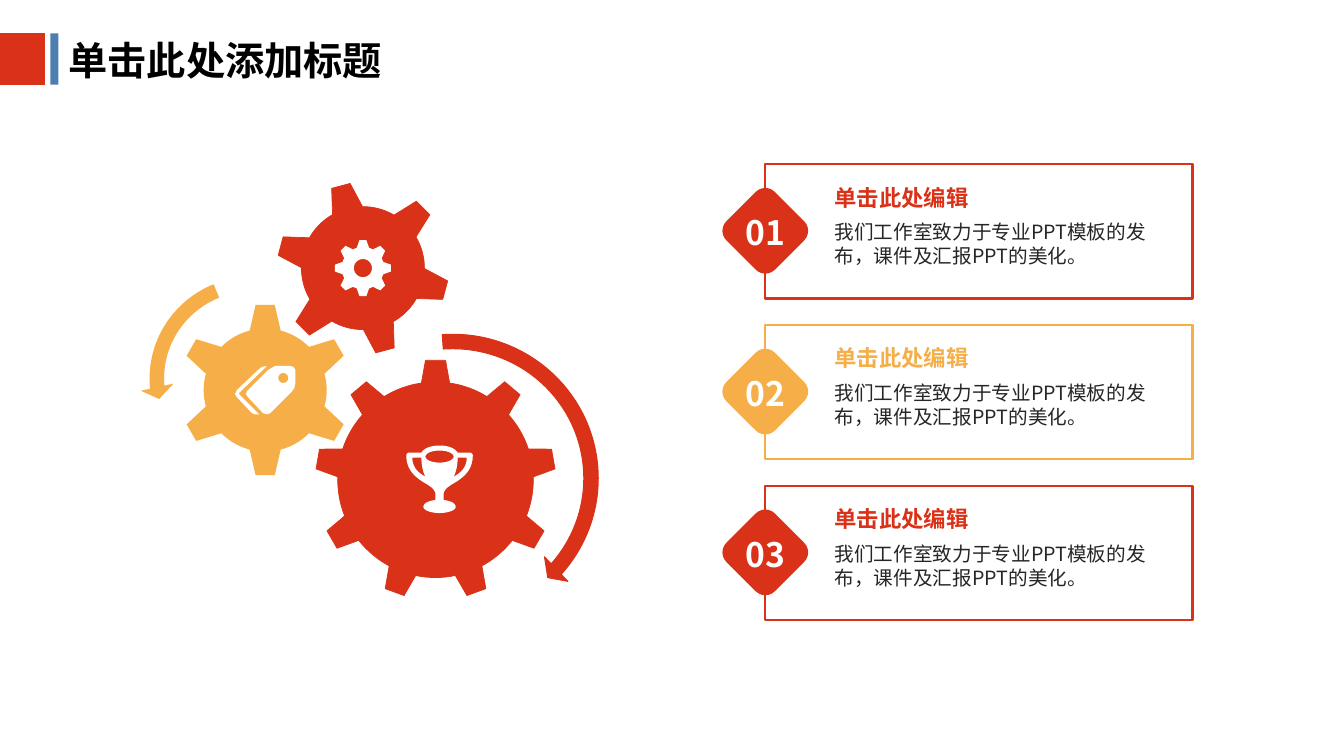
from dataclasses import dataclass
from math import cos, radians, sin

from lxml.etree import SubElement
from pptx import Presentation
from pptx.dml.color import RGBColor
from pptx.enum.shapes import MSO_SHAPE
from pptx.enum.text import MSO_ANCHOR, PP_ALIGN
from pptx.oxml.ns import qn
from pptx.util import Inches, Pt


@dataclass(frozen=True)
class Theme:
    red: str = "DA3218"
    amber: str = "F6AF48"
    blue: str = "4C7FAF"
    white: str = "FFFFFF"
    black: str = "000000"
    ink: str = "262626"
    font: str = "Noto Sans CJK SC"
    title: int = 28
    number: int = 24
    heading: int = 16
    body: int = 14
    leading: float = 1.22


THEME = Theme()
HEADING = "单击此处编辑"
BODY = "我们工作室致力于专业PPT模板的发布，课件及汇报PPT的美化。"


# ---- Styling and text ----
def paint(shape, fill=None, line=None, width=0.75):
    shape.shadow.inherit = False
    if fill:
        shape.fill.solid()
        shape.fill.fore_color.rgb = RGBColor.from_string(fill)
    else:
        shape.fill.background()
    if line:
        shape.line.color.rgb = RGBColor.from_string(line)
        shape.line.width = Pt(width)
    else:
        shape.line.fill.background()


def write(frame, text, size, color, bold=False, align=PP_ALIGN.LEFT):
    paragraph = frame.paragraphs[0]
    paragraph.alignment = align
    paragraph.line_spacing = Pt(round(size * THEME.leading, 1))
    run = paragraph.add_run()
    run.text = text
    run.font.size = Pt(size)
    run.font.bold = bold
    run.font.color.rgb = RGBColor.from_string(color)
    run.font.name = THEME.font
    SubElement(run.font._element, qn("a:ea"), typeface=THEME.font)


def add_label(shapes, box, text, size, color, bold=False,
              align=PP_ALIGN.LEFT, wrap=False):
    label = shapes.add_textbox(*map(Inches, box))
    label.text_frame.word_wrap = wrap
    write(label.text_frame, text, size, color, bold, align)


def add_preset(shapes, kind, box, fill=None, line=None, width=0.75,
               adjustments=()):
    shape = shapes.add_shape(kind, *map(Inches, box))
    for index, value in enumerate(adjustments):
        shape.adjustments[index] = value
    paint(shape, fill, line, width)
    return shape


# ---- Outlines, as lists of points in inches ----
def polar(center, radius, angle):
    return (center[0] + radius * cos(radians(angle)),
            center[1] + radius * sin(radians(angle)))


def ellipse(center, rx, ry):
    return [(center[0] + rx * cos(radians(a)), center[1] + ry * sin(radians(a)))
            for a in range(0, 360, 10)]


def gear(center, teeth, first, tip, tip_half, root, root_half):
    """Teeth at equal angles, joined by arcs of the root circle."""
    step, arc_steps, points = 360 / teeth, 8, []
    for tooth in range(teeth):
        angle = first + tooth * step
        points += [polar(center, tip, angle - tip_half),
                   polar(center, tip, angle + tip_half)]
        valley = step - 2 * root_half
        points += [polar(center, root, angle + root_half + valley * i / arc_steps)
                   for i in range(arc_steps + 1)]
    return points


def trace(start, *segments):
    """Each segment holds one point (line) or three points (cubic curve)."""
    points = [start]
    for segment in segments:
        if len(segment) == 1:
            points += segment
            continue
        controls = (points[-1], *segment)
        for i in range(1, 11):
            t = i / 10
            weights = ((1 - t) ** 3, 3 * t * (1 - t) ** 2, 3 * t * t * (1 - t), t ** 3)
            points.append(tuple(sum(w * c[axis] for w, c in zip(weights, controls))
                                for axis in (0, 1)))
    return points


def add_outline(shapes, contours, fill, line=None):
    scaled = [[(Inches(x), Inches(y)) for x, y in contour] for contour in contours]
    builder = shapes.build_freeform(*scaled[0][0])
    builder.add_line_segments(scaled[0][1:], close=True)
    for hole in scaled[1:]:
        builder.move_to(*hole[0])
        builder.add_line_segments(hole[1:], close=True)
    paint(builder.convert_to_shape(), fill, line, 0.5)


# ---- Icons ----
def add_tag_icon(shapes):
    front = [(2.88, 3.63), (2.73, 3.63), (2.66, 3.67), (2.45, 3.88), (2.44, 3.91),
             (2.46, 3.94), (2.61, 4.1), (2.65, 4.11), (2.68, 4.1), (2.89, 3.89),
             (2.92, 3.85), (2.93, 3.8), (2.93, 3.67), (2.91, 3.64)]
    back = [(2.38, 3.92), (2.57, 4.11), (2.53, 4.11), (2.5, 4.1), (2.35, 3.94),
            (2.33, 3.91), (2.35, 3.87), (2.56, 3.67), (2.6, 3.64), (2.65, 3.63),
            (2.37, 3.9)]
    add_outline(shapes, [front, ellipse((2.81, 3.75), 0.05, 0.05), back], THEME.white)


def add_trophy_icon(shapes):
    axis = 4.36
    half_cup = trace(
        (0, 4.42), [(0.11, 4.42), (0.16, 4.46), (0.18, 4.49)], [(0.3, 4.49)],
        [(0.31, 4.49), (0.33, 4.5), (0.33, 4.52)],
        [(0.33, 4.67), (0.23, 4.74), (0.15, 4.79)],
        [(0.08, 4.83), (0.04, 4.86), (0.04, 4.91)], [(0.04, 4.96)],
        [(0.11, 4.97), (0.16, 4.99), (0.16, 5.03)],
        [(0.16, 5.06), (0.09, 5.09), (0, 5.09)])
    handle = trace((0.14, 4.73), [(0.16, 4.69), (0.18, 4.63), (0.18, 4.54)],
                   [(0.27, 4.54)], [(0.27, 4.64), (0.21, 4.69), (0.14, 4.73)])
    right_cup, right_handle = ([(axis + x, y) for x, y in half]
                               for half in (half_cup, handle))
    left_cup, left_handle = ([(axis - x, y) for x, y in reversed(half)]
                             for half in (half_cup, handle))
    add_outline(shapes, [right_cup + left_cup, right_handle, left_handle,
                         ellipse((axis, 4.53), 0.14, 0.06)], THEME.white)


# ---- Slide parts ----
def add_header(slide):
    title = slide.shapes.title
    title.left, title.top, title.width, title.height = map(
        Inches, (0.58, 0.3, 3.33, 0.57))
    title.text_frame.vertical_anchor = MSO_ANCHOR.MIDDLE
    write(title.text_frame, "单击此处添加标题", THEME.title, THEME.black, bold=True)
    add_preset(slide.shapes, MSO_SHAPE.RECTANGLE, (0, 0.33, 0.44, 0.51),
               THEME.red, THEME.red, 1)
    add_preset(slide.shapes, MSO_SHAPE.RECTANGLE, (0.5, 0.33, 0.08, 0.51), THEME.blue)


def add_gears(shapes):
    # Turning arrows
    add_preset(shapes, MSO_SHAPE.CIRCULAR_ARROW, (2.95, 3.22, 3.08, 3.05),
               THEME.red, THEME.red, 0.75, (0.047, 2.99, 24.76, 159.507, 0.055))
    add_preset(shapes, MSO_SHAPE.LEFT_CIRCULAR_ARROW, (1.39, 2.65, 2.24, 2.21),
               THEME.amber, adjustments=(0.065, 4.3, 104.891, 148.378, 0.075))
    # Gears with their icons
    tag_center, cog_center, trophy_center = (2.63, 3.87), (3.6, 2.66), (4.32, 4.76)
    small = (0.85, 6.4, 0.61, 14.6)
    add_outline(shapes, [gear(tag_center, 6, 30, *small)], THEME.amber)
    add_tag_icon(shapes)
    add_outline(shapes, [gear(cog_center, 6, 15, *small)], THEME.red, THEME.red)
    add_outline(shapes, [gear(cog_center, 8, 0, 0.28, 7, 0.21, 17),
                         ellipse(cog_center, 0.09, 0.09)], THEME.white)
    add_outline(shapes, [gear(trophy_center, 9, -90, 1.19, 4.8, 0.97, 8.3)],
                THEME.red, THEME.red)
    add_trophy_icon(shapes)


def add_card(slide, top, number, color):
    shapes = slide.shapes.add_group_shape().shapes
    add_preset(shapes, MSO_SHAPE.RECTANGLE, (7.59, top, 4.24, 1.33),
               line=color, width=1.75)
    diamond = add_preset(shapes, MSO_SHAPE.ROUNDED_RECTANGLE,
                         (7.25, top + 0.32, 0.68, 0.68), color, adjustments=(0.197,))
    diamond.rotation = 45
    add_label(shapes, (7.3, top + 0.42, 0.59, 0.5), number, THEME.number,
              THEME.white, bold=True, align=PP_ALIGN.CENTER)
    add_label(shapes, (8.18, top + 0.14, 1.56, 0.37), HEADING, THEME.heading,
              color, bold=True)
    add_label(shapes, (8.18, top + 0.5, 3.37, 0.57), BODY, THEME.body,
              THEME.ink, wrap=True)


def main():
    deck = Presentation()
    deck.slide_width, deck.slide_height = Inches(13.33), Inches(7.5)
    slide = deck.slides.add_slide(deck.slide_layouts[5])
    add_header(slide)
    add_gears(slide.shapes)
    first_top, last_top = 1.63, 4.82
    for index, color in enumerate((THEME.red, THEME.amber, THEME.red)):
        top = first_top + index * (last_top - first_top) / 2
        add_card(slide, top, f"{index + 1:02}", color)
    deck.save("out.pptx")


if __name__ == "__main__":
    main()
